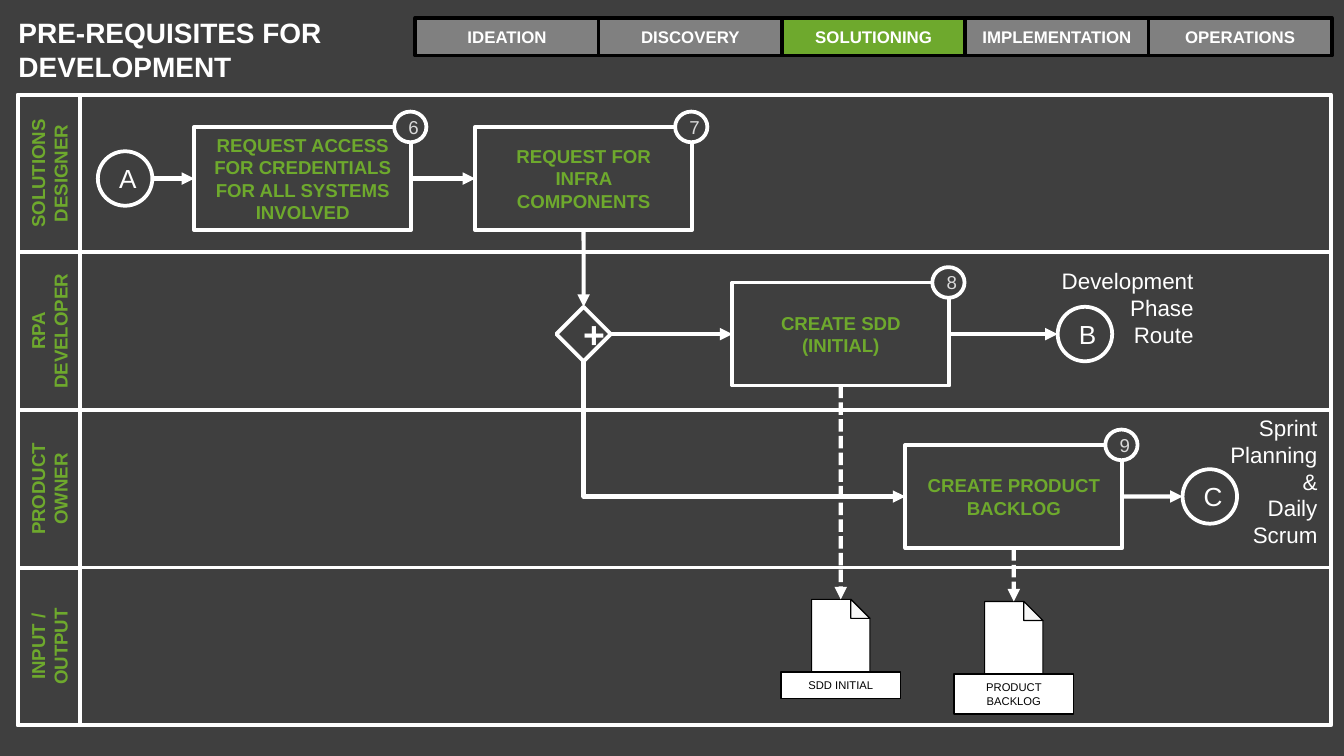
from pptx import Presentation
from pptx import util as u
from pptx.dml.color import RGBColor
from pptx.enum import dml, shapes, text
from pptx.oxml.ns import qn
from lxml import etree

COLOURS = {
    "ground": "3F3F3F", "green": "6EA92D", "grey": "808080", "white": "FFFFFF",
    "number": "D9D9D9", "fold": "F8F8F8", "black": "000000",
}
KIND = shapes.MSO_SHAPE
TOP, LEFT, BOTTOM, RIGHT = range(4)
MIDDLE, CENTRE = text.MSO_ANCHOR.MIDDLE, text.PP_ALIGN.CENTER

HEADING = {"size": u.Pt(15), "bold": True}
STAGE = {"size": u.Pt(9), "bold": True}
TASK = {"size": u.Pt(10), "bold": True}
NUMBER = {"size": u.Pt(10), "bold": False}
NODE = {"size": u.Pt(14), "bold": False}
GATEWAY = {"size": u.Pt(20), "bold": True}
ROUTE = {"size": u.Pt(12), "bold": False}
CAPTION = {"size": u.Pt(6), "bold": False}

ACTIVITY_W, ACTIVITY_H = 4.1, 1.95
NODE_SIZE = 1.03
DOCUMENT_W = 2.26


def rgb(name):
    return RGBColor.from_string(COLOURS[name])


def paint(shape, fill, line, width):
    shape.shadow.inherit = False
    if fill:
        shape.fill.solid()
        shape.fill.fore_color.rgb = rgb(fill)
    else:
        shape.fill.background()
    shape.line.color.rgb = rgb(line)
    shape.line.width = u.Pt(width)


def write(shape, lines, font_format, colour, align=CENTRE, **frame_format):
    """Put one paragraph per line into the shape."""
    frame = shape.text_frame
    for name, value in {"word_wrap": True, **frame_format}.items():
        setattr(frame, name, value)
    frame.text = "\n".join(lines)
    for paragraph in frame.paragraphs:
        paragraph.alignment = align
        for name, value in {"name": "Arial", **font_format}.items():
            setattr(paragraph.font, name, value)
        paragraph.font.color.rgb = rgb(colour)


def add_box(parent, kind, box, words=None, font_format=None, colour="white",
            fill=None, line="white", width=2, anchor=MIDDLE):
    shape = parent.add_shape(kind, *map(u.Cm, box))
    paint(shape, fill, line, width)
    if words:
        write(shape, [words], font_format, colour, vertical_anchor=anchor)
    return shape


def add_text(parent, box, lines, font_format, align, **frame_format):
    label = parent.add_textbox(*map(u.Cm, box))
    write(label, lines, font_format, "white", align, **frame_format)


def add_stages(parent, left, top, width, height, names, current):
    step = width / len(names)
    for i, name in enumerate(names):
        add_box(parent, KIND.RECTANGLE, (left + i * step, top, step, height), name, STAGE,
                fill="green" if name == current else "grey", line="black")


def add_lane(parent, left, top, width, height, role, label_w=1.17):
    add_box(parent, KIND.RECTANGLE, (left, top, width, height))
    inset = (height - label_w) / 2
    label = add_box(parent, KIND.RECTANGLE, (left - inset, top + inset, height, label_w),
                    role, TASK, "green")
    label.rotation = 270


def add_activity(parent, left, top, number, name):
    group = parent.add_group_shape().shapes
    task = add_box(group, KIND.RECTANGLE, (left, top, ACTIVITY_W, ACTIVITY_H), name, TASK, "green")
    add_box(group, KIND.OVAL, (left + 3.78, top - 0.29, 0.61, 0.58), number, NUMBER,
            "number", fill="ground")
    return task


def add_node(parent, kind, left, middle, words, font_format):
    return add_box(parent, kind, (left, middle - NODE_SIZE / 2, NODE_SIZE, NODE_SIZE),
                   words, font_format)


def add_outline(parent, points, fill):
    points = [(u.Cm(x), u.Cm(y)) for x, y in points]
    builder = parent.build_freeform(*points[0])
    builder.add_line_segments(points[1:], close=True)
    paint(builder.convert_to_shape(), fill, "black", 0.63)


def add_document(parent, centre, top, caption, caption_h):
    """Draw a page with a folded corner over its caption; return its top middle."""
    group = parent.add_group_shape().shapes
    left, right, bottom, fold = centre - 0.55, centre + 0.55, top + 1.46, 0.36
    corner, crease = (right - fold, top), (right, top + fold)
    add_outline(group, [corner, (left, top), (left, bottom), (right, bottom), crease], "white")
    add_outline(group, [corner, (right - fold, top + fold), crease], "fold")
    add_box(group, KIND.RECTANGLE, (centre - DOCUMENT_W / 2, top + 1.37, DOCUMENT_W, caption_h),
            caption, CAPTION, "black", "white", "black", 0.75, text.MSO_ANCHOR.TOP)
    return u.Cm(centre), u.Cm(top)


def side_point(shape, side):
    across, down = {TOP: (1, 0), LEFT: (0, 1), BOTTOM: (1, 2), RIGHT: (2, 1)}[side]
    return shape.left + shape.width * across // 2, shape.top + shape.height * down // 2


def add_flow(parent, source, target, dashed=False, bent=False):
    """Draw an arrow; each end is a (shape, side) pair or a plain point."""
    ends = [side_point(*end) if hasattr(end[0], "text_frame") else end for end in (source, target)]
    kind = shapes.MSO_CONNECTOR.ELBOW if bent else shapes.MSO_CONNECTOR.STRAIGHT
    flow = parent.add_connector(kind, *ends[0], *ends[1])
    for end, join in ((source, flow.begin_connect), (target, flow.end_connect)):
        if hasattr(end[0], "text_frame") and end[0].auto_shape_type != KIND.OVAL:
            join(*end)
    flow.line.color.rgb = rgb("white")
    flow.line.width = u.Pt(2.25)
    if dashed:
        flow.line.dash_style = dml.MSO_LINE.SQUARE_DOT
    properties = flow._element.spPr
    etree.SubElement(properties.find(qn("a:ln")), qn("a:tailEnd"), type="triangle")
    etree.SubElement(properties, qn("a:effectLst"))
    if bent:
        turn_down_then_right(flow, *ends)


def turn_down_then_right(flow, start, end):
    across, down = end[0] - start[0], end[1] - start[1]
    flow.left = start[0] + (across - down) // 2
    flow.top = start[1] + (down - across) // 2
    flow.width, flow.height = down, across
    properties = flow._element.spPr
    properties.find(qn("a:prstGeom")).set("prst", "bentConnector2")
    frame = properties.find(qn("a:xfrm"))
    for name, value in {"rot": "16200000", "flipH": "1"}.items():
        frame.set(name, value)


def add_process(parent):
    access = add_activity(parent, 3.67, 2.4, "6",
                          "REQUEST ACCESS FOR CREDENTIALS FOR ALL SYSTEMS INVOLVED")
    infra = add_activity(parent, 8.98, 2.4, "7", "REQUEST FOR INFRA COMPONENTS")
    design = add_activity(parent, 13.84, 5.34, "8", "CREATE SDD (INITIAL)")
    backlog = add_activity(parent, 17.11, 8.41, "9", "CREATE PRODUCT BACKLOG")
    half_w, half_h = ACTIVITY_W / 2, ACTIVITY_H / 2

    entry = add_node(parent, KIND.OVAL, 1.85, 2.4 + half_h, "A", NODE)
    gateway = add_node(parent, KIND.FLOWCHART_DECISION, 8.98 + half_w - NODE_SIZE / 2,
                       5.34 + half_h, "+", GATEWAY)
    development = add_node(parent, KIND.OVAL, 19.99, 5.34 + half_h, "B", NODE)
    sprint = add_node(parent, KIND.OVAL, 22.35, 8.41 + half_h, "C", NODE)

    design_page = add_document(parent, 13.84 + half_w, 11.33, "SDD INITIAL", 0.5)
    backlog_page = add_document(parent, 17.11 + half_w, 11.37, "PRODUCT BACKLOG", 0.76)

    for source, target in ((entry, access), (access, infra), (gateway, design),
                           (design, development), (backlog, sprint)):
        add_flow(parent, (source, RIGHT), (target, LEFT))
    add_flow(parent, (infra, BOTTOM), (gateway, TOP))
    add_flow(parent, (gateway, BOTTOM), (backlog, LEFT), bent=True)
    add_flow(parent, (design, BOTTOM), design_page, dashed=True)
    add_flow(parent, (backlog, BOTTOM), backlog_page, dashed=True)

    for box, lines in (((19.66, 4.93, 3.15, 1.8), ["Development", "Phase", "Route"]),
                       ((22.99, 7.7, 2.16, 2.82), ["Sprint", "Planning", "&", "Daily", "Scrum"])):
        add_text(parent, box, lines, ROUTE, text.PP_ALIGN.RIGHT, word_wrap=False,
                 auto_size=text.MSO_AUTO_SIZE.SHAPE_TO_FIT_TEXT)


def main():
    deck = Presentation()
    deck.slide_width, deck.slide_height = u.Cm(25.4), u.Cm(14.29)
    slide = deck.slides.add_slide(deck.slide_layouts[6])
    slide.background.fill.solid()
    slide.background.fill.fore_color.rgb = rgb("ground")
    parent = slide.shapes

    add_stages(parent, 7.85, 0.34, 17.32, 0.71,
               ["IDEATION", "DISCOVERY", "SOLUTIONING", "IMPLEMENTATION", "OPERATIONS"],
               "SOLUTIONING")
    lane_h = 2.98
    for i, role in enumerate(["SOLUTIONS DESIGNER", "RPA DEVELOPER",
                              "PRODUCT OWNER", "INPUT / OUTPUT"]):
        add_lane(parent, 0.34, 1.79 + i * lane_h, 24.82, lane_h, role)
    add_process(parent)
    margins = {f"margin_{side}": u.Cm(0.25) for side in ("left", "top", "right", "bottom")}
    add_text(parent, (0.1, 0.05, 8.15, 1.6), ["PRE-REQUISITES FOR DEVELOPMENT"],
             HEADING, text.PP_ALIGN.LEFT, **margins)
    deck.save("out.pptx")


if __name__ == "__main__":
    main()
